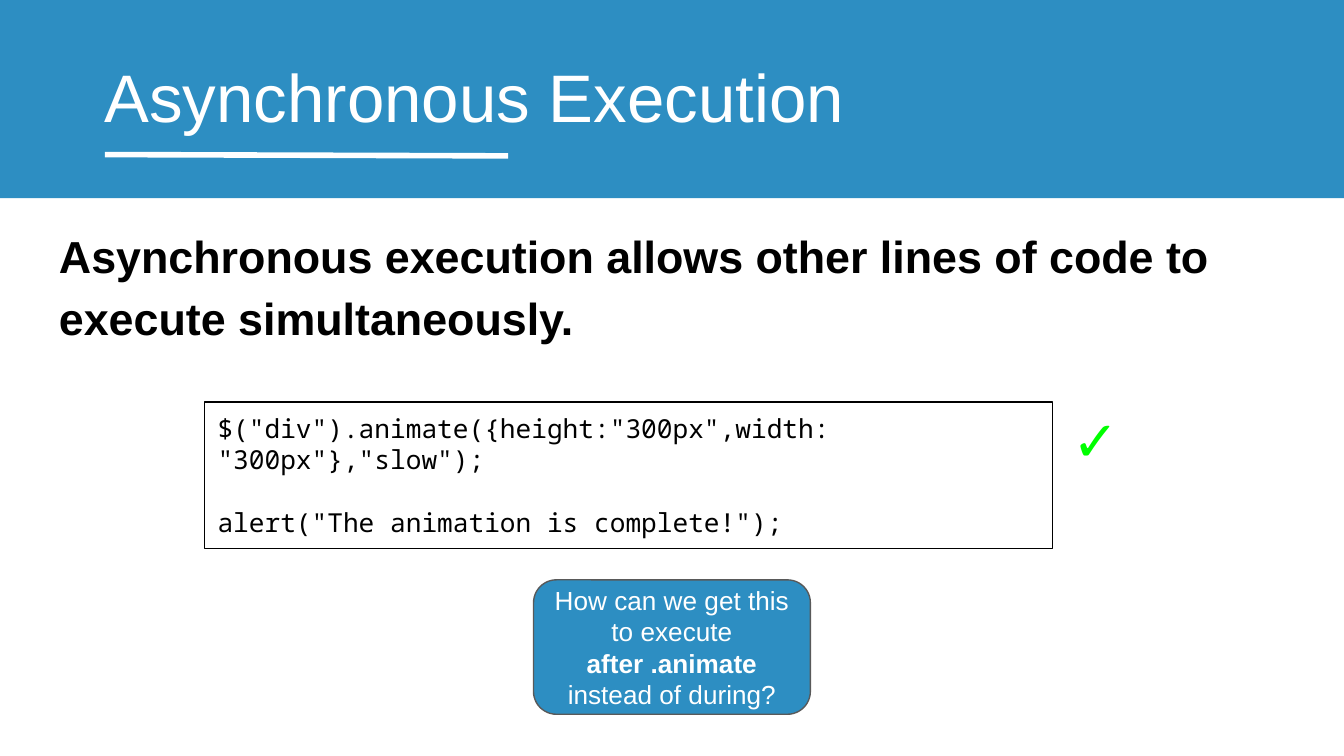
import lxml.etree
import pptx
import pptx.dml.color
import pptx.enum.shapes
import pptx.enum.text
import pptx.oxml.ns
import pptx.util

COLUMNS, ROWS = 100, 56.25
CELL = pptx.util.Inches(0.1)
INSET = CELL

BLUE = pptx.dml.color.RGBColor(0x2D, 0x8E, 0xC2)
WHITE = pptx.dml.color.RGBColor(0xFF, 0xFF, 0xFF)
BLACK = pptx.dml.color.RGBColor(0x00, 0x00, 0x00)
GREEN = pptx.dml.color.RGBColor(0x00, 0xFF, 0x00)
GRAY = pptx.dml.color.RGBColor(0x59, 0x59, 0x59)

SHAPES = pptx.enum.shapes.MSO_SHAPE
ANCHOR = pptx.enum.text.MSO_ANCHOR
ALIGN = pptx.enum.text.PP_ALIGN


def cells(*counts):
    return [round(count * CELL) for count in counts]


def prepare_frame(box, anchor):
    frame = box.text_frame
    frame.word_wrap = True
    frame.vertical_anchor = anchor
    frame.margin_left = frame.margin_right = INSET
    frame.margin_top = frame.margin_bottom = INSET
    return frame


def style_paragraph(para, font, size, color, bold=False, align=ALIGN.LEFT):
    para.alignment = align
    para.font.name = font
    para.font.size = pptx.util.Pt(size)
    para.font.bold = bold
    para.font.color.rgb = color


def add_text(page, place, text, font, size, color, bold=False, spacing=1.0):
    box = page.shapes.add_textbox(*cells(*place))
    para = prepare_frame(box, ANCHOR.TOP).paragraphs[0]
    para.text = text
    para.line_spacing = spacing
    style_paragraph(para, font, size, color, bold)


def add_panel(page, kind, place, fill=None, line=None):
    panel = page.shapes.add_shape(kind, *cells(*place))
    panel.shadow.inherit = False
    if fill is None:
        panel.fill.background()
    else:
        panel.fill.solid()
        panel.fill.fore_color.rgb = fill
    if line is None:
        panel.line.fill.background()
    else:
        panel.line.color.rgb = line
        panel.line.width = pptx.util.Pt(0.75)
    return panel


def add_underline(page, ends):
    rule = page.shapes.add_connector(
        pptx.enum.shapes.MSO_CONNECTOR.STRAIGHT, *cells(*ends))
    rule.line.color.rgb = WHITE
    rule.line.width = pptx.util.Pt(3)
    properties = rule._element.spPr
    lxml.etree.SubElement(properties, pptx.oxml.ns.qn("a:effectLst"))


def add_code(page, place, statements):
    panel = add_panel(page, SHAPES.RECTANGLE, place, line=BLACK)
    frame = prepare_frame(panel, ANCHOR.MIDDLE)
    for index, statement in enumerate(statements):
        para = frame.add_paragraph() if index else frame.paragraphs[0]
        para.text = statement
        para.space_before = pptx.util.Pt(17 if index else 0)
        style_paragraph(para, "Noto Sans Mono", 14, BLACK)


def add_question(page, place, lines):
    panel = add_panel(page, SHAPES.ROUNDED_RECTANGLE, place, BLUE, GRAY)
    panel.adjustments[0] = 0.17
    para = prepare_frame(panel, ANCHOR.MIDDLE).paragraphs[0]
    style_paragraph(para, "Arial", 14, WHITE, align=ALIGN.CENTER)
    for index, (text, bold) in enumerate(lines):
        if index:
            para.add_line_break()
        span = para.add_run()
        span.text = text
        span.font.bold = bold


def main():
    deck = pptx.Presentation()
    deck.slide_width, deck.slide_height = cells(COLUMNS, ROWS)
    page = deck.slides.add_slide(deck.slide_layouts[6])

    add_panel(page, SHAPES.RECTANGLE, (0, 0, COLUMNS, 14.75), BLUE)
    add_underline(page, (7.8, 11.5, 37.8, 11.6))
    add_text(page, (3.4, 15.4, 93.2, 37.4),
             "Asynchronous execution allows other lines of code to "
             "execute simultaneously.",
             "Arial", 24, BLACK, bold=True, spacing=1.15)
    add_text(page, (6.8, 3.1, 93.2, 6.3), "Asynchronous Execution",
             "Arial", 36, WHITE)
    add_code(page, (15.2, 29.9, 63.1, 10.9), [
        '$("div").animate({height:"300px",width: "300px"},"slow");',
        'alert("The animation is complete!");',
    ])
    add_text(page, (78.8, 29.2, 4.5, 4.3), "✓", "Roboto", 30, GREEN)
    add_question(page, (39.7, 43.15, 20.6, 10), [
        ("How can we get this to execute", False),
        ("after .animate", True),
        ("instead of during?", False),
    ])
    deck.save("out.pptx")


if __name__ == "__main__":
    main()
